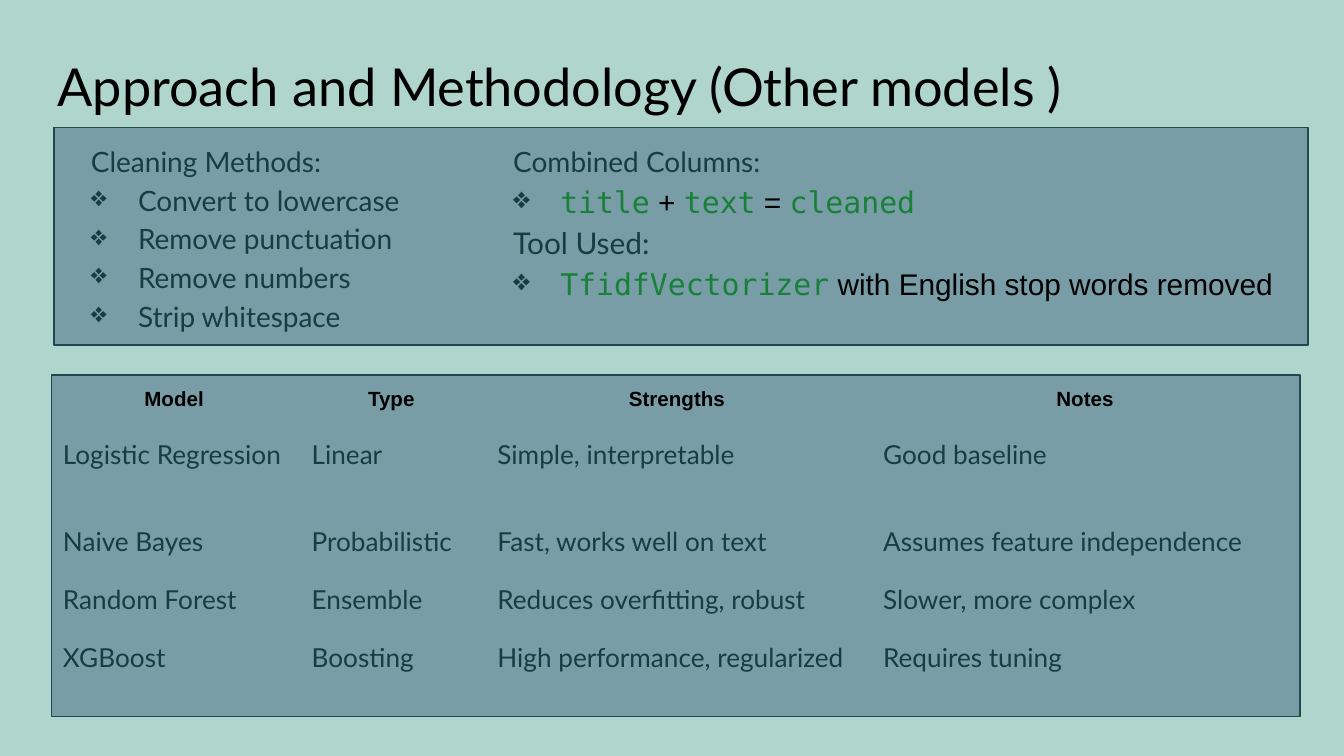
from dataclasses import dataclass

from lxml.etree import SubElement
from pptx import Presentation
from pptx.dml.color import RGBColor as Color
from pptx.enum.shapes import MSO_SHAPE as Shape
from pptx.enum.text import MSO_ANCHOR as Anchor, MSO_AUTO_SIZE as AutoSize, PP_ALIGN as Align
from pptx.oxml.ns import qn
from pptx.util import Cm, Pt


@dataclass(frozen=True)
class Theme:
    background: str = "B0D5CD"
    panel: str = "799DA7"
    outline: str = "20494D"
    body: str = "183C40"
    strong: str = "000000"
    code: str = "188038"
    body_font: str = "Lato"
    plain_font: str = "Arial"
    code_font: str = "DejaVu Sans Mono"
    title_size: int = 28
    code_size: int = 16
    list_size: int = 15
    cell_size: int = 14
    header_size: int = 11
    outline_width: float = 0.75
    spacing: float = 1.15
    inset: float = 0.25
    indent: float = 0.38
    bullet_indent: float = 1.27
    bullet_hang: float = -0.89
    no_grid_style: str = "{2D5ABB26-0587-4C30-8999-92F81FD0307C}"


class SlideBuilder:
    """Draw the elements of one slide in one theme."""

    def __init__(self, page, theme):
        self.page = page
        self.theme = theme
        page.background.fill.solid()
        page.background.fill.fore_color.rgb = Color.from_string(theme.background)

    def style(self, span, font, size, color, bold=False):
        span.font.name = font
        span.font.size = Pt(size)
        span.font.bold = bold
        span.font.color.rgb = Color.from_string(color)

    def set_insets(self, holder, inset):
        holder.margin_left = holder.margin_right = Cm(inset)
        holder.margin_top = holder.margin_bottom = Cm(inset)

    def title(self, text, left, top, width, height):
        box = self.page.shapes.title
        box.left, box.top, box.width, box.height = map(Cm, (left, top, width, height))
        frame = box.text_frame
        frame.text = text
        frame.word_wrap = True
        frame.auto_size = AutoSize.SHAPE_TO_FIT_TEXT
        frame.vertical_anchor = Anchor.BOTTOM
        self.set_insets(frame, 0)
        para = frame.paragraphs[0]
        para.alignment = Align.LEFT
        para.line_spacing = self.theme.spacing
        self.style(para.runs[0], self.theme.body_font, self.theme.title_size, self.theme.strong)

    def panel(self, left, top, width, height):
        box = self.page.shapes.add_shape(Shape.RECTANGLE, *map(Cm, (left, top, width, height)))
        box.shadow.inherit = False
        box.fill.solid()
        box.fill.fore_color.rgb = Color.from_string(self.theme.panel)
        box.line.color.rgb = Color.from_string(self.theme.outline)
        box.line.width = Pt(self.theme.outline_width)

    def bullet(self, para):
        props = para._p.get_or_add_pPr()
        color = SubElement(props, qn("a:buClr"))
        SubElement(color, qn("a:srgbClr")).set("val", self.theme.body)
        SubElement(props, qn("a:buChar")).set("char", "❖")

    def outline(self, lines, left, top, width, height):
        box = self.page.shapes.add_textbox(*map(Cm, (left, top, width, height)))
        frame = box.text_frame
        frame.word_wrap = True
        self.set_insets(frame, self.theme.inset)
        for index, (bulleted, spans) in enumerate(lines):
            para = frame.paragraphs[0] if index == 0 else frame.add_paragraph()
            para.line_spacing = self.theme.spacing
            props = para._p.get_or_add_pPr()
            indent = self.theme.bullet_indent if bulleted else self.theme.indent
            props.set("marL", str(Cm(indent)))
            props.set("indent", str(Cm(self.theme.bullet_hang if bulleted else 0)))
            if bulleted:
                self.bullet(para)
            for text, look in spans:
                span = para.add_run()
                span.text = text
                self.style(span, *look)

    def table(self, rows, widths, heights, left, top):
        size = map(Cm, (left, top, sum(widths), sum(heights)))
        table = self.page.shapes.add_table(len(rows), len(widths), *size).table
        table.first_row = table.horz_banding = False
        table._tbl.tblPr.find(qn("a:tableStyleId")).text = self.theme.no_grid_style
        for column, width in zip(table.columns, widths):
            column.width = Cm(width)
        for row, height, texts in zip(table.rows, heights, rows):
            row.height = Cm(height)
            for cell, text in zip(row.cells, texts):
                self.cell(cell, text, header=texts is rows[0])

    def cell(self, cell, text, header):
        theme = self.theme
        cell.fill.background()
        self.set_insets(cell, theme.inset)
        cell.text_frame.text = text
        para = cell.text_frame.paragraphs[0]
        span = para.runs[0]
        if header:
            para.alignment = Align.CENTER
            para.line_spacing = theme.spacing
            self.style(span, theme.plain_font, theme.header_size, theme.strong, True)
        else:
            self.style(span, theme.body_font, theme.cell_size, theme.body)


MODELS = [
    ("Model", "Type", "Strengths", "Notes"),
    ("Logistic Regression", "Linear", "Simple, interpretable", "Good baseline"),
    ("Naive Bayes", "Probabilistic", "Fast, works well on text", "Assumes feature independence"),
    ("Random Forest", "Ensemble", "Reduces overfitting, robust", "Slower, more complex"),
    ("XGBoost", "Boosting", "High performance, regularized", "Requires tuning"),
]
CLEANING = ["Convert to lowercase", "Remove punctuation", "Remove numbers", "Strip whitespace"]


def main():
    theme = Theme()
    deck = Presentation()
    deck.slide_width, deck.slide_height = Cm(25.4), Cm(14.29)
    builder = SlideBuilder(deck.slides.add_slide(deck.slide_layouts[5]), theme)

    label = (theme.body_font, theme.list_size, theme.body)
    large_label = (theme.body_font, theme.code_size, theme.body)
    code = (theme.code_font, theme.code_size, theme.code)
    plain = (theme.plain_font, theme.code_size, theme.strong)
    cleaning = [(False, [("Cleaning Methods:", label)])]
    cleaning += [(True, [(step, label)]) for step in CLEANING]
    features = [
        (False, [("Combined Columns:", label)]),
        (True, [("title", code), (" + ", plain), ("text", code),
                (" = ", plain), ("cleaned", code)]),
        (False, [("Tool Used:", large_label)]),
        (True, [("TfidfVectorizer", code), (" with English stop words removed", plain)]),
    ]

    builder.panel(1.02, 2.41, 23.7, 4.11)
    builder.panel(0.97, 7.09, 23.6, 6.45)
    builder.title("Approach and Methodology (Other models )", 1.09, 1.02, 23.29, 1.19)
    builder.table(MODELS, (4.7, 3.51, 7.29, 8.13), (0.97, 1.65, 1.07, 1.07, 1.65), 0.94, 7.01)
    builder.outline(cleaning, 1.09, 2.39, 12.8, 3.45)
    builder.outline(features, 9.07, 2.39, 15.62, 3.45)
    deck.save("out.pptx")


if __name__ == "__main__":
    main()
